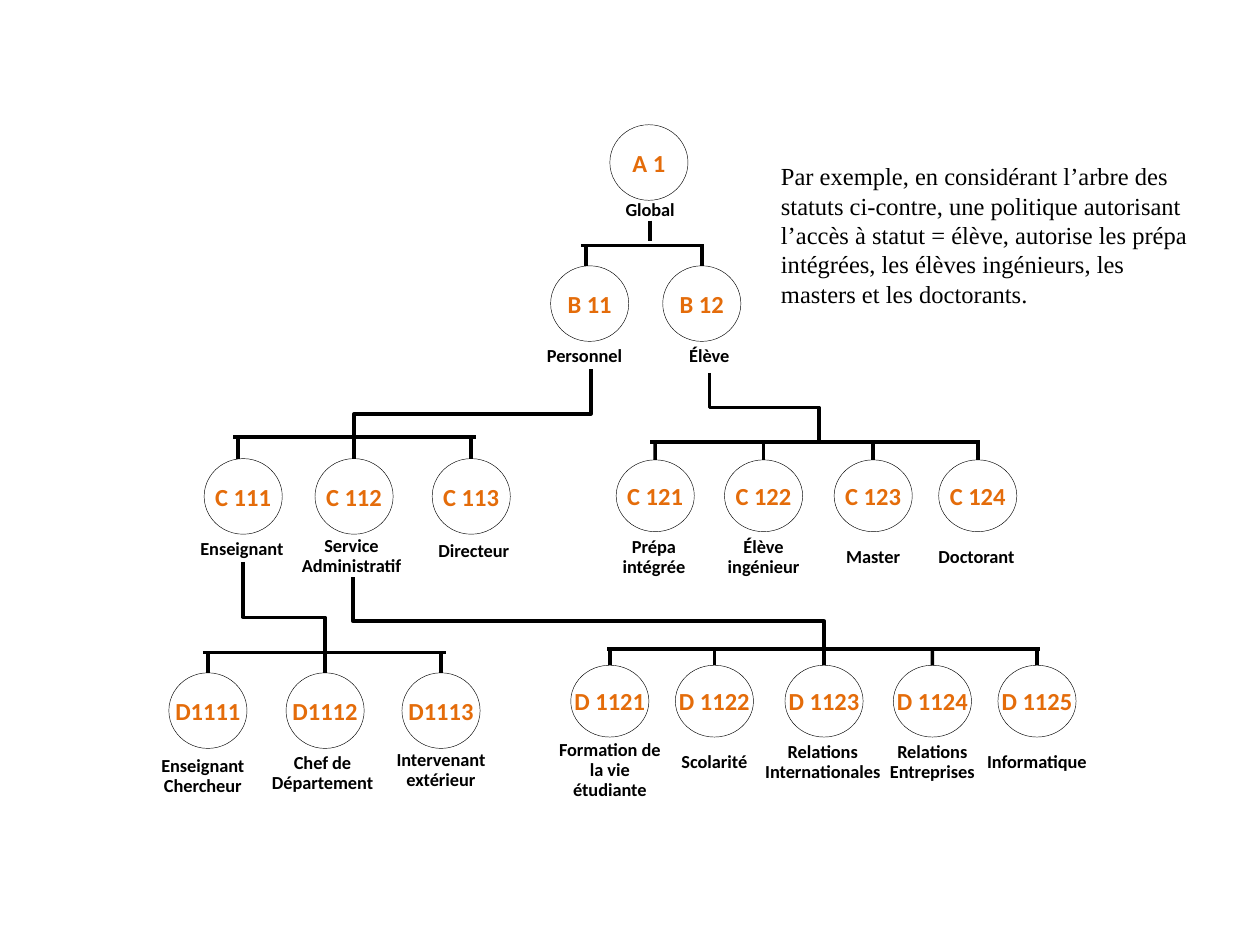
from lxml import etree
from pptx import Presentation
from pptx import util as u
from pptx.dml.color import RGBColor
from pptx.enum import shapes, text
from pptx.oxml.ns import qn

THEME = {
    "black": RGBColor(0x00, 0x00, 0x00),
    "white": RGBColor(0xFF, 0xFF, 0xFF),
    "orange": RGBColor(0xE4, 0x6C, 0x0A),
    "tree_font": "Calibri", "note_font": "Times New Roman",
    "code": 14, "label": 10.5, "note": 14,
    "outline": 0.25, "branch": 2,
}
CIRCLE_W = 0.62
NOTE = ("Par exemple, en considérant l’arbre des statuts ci-contre, une politique "
        "autorisant l’accès à statut = élève, autorise les prépa intégrées, "
        "les élèves ingénieurs, les masters et les doctorants.")
NOTE_BOX = (6.1, 1.23, 3.46, 1.28)
LEFT_LABELS = {"Personnel", "Enseignant", "Directeur"}

# Each level: bar (left, right, y) or None, circle top and height,
# nodes (code, circle left, label, label box)
LEVELS = [
    {"bar": None, "top": 0.99, "height": 0.6, "nodes": [
        ("A 1", 4.84, "Global", (4.69, 1.59, 0.94, 0.16))]},
    {"bar": (4.61, 5.59, 1.95), "top": 2.11, "height": 0.6, "nodes": [
        ("B 11", 4.37, "Personnel", (4.29, 2.73, 0.79, 0.2)),
        ("B 12", 5.26, "Élève", (5.16, 2.75, 0.94, 0.16))]},
    {"bar": (1.85, 3.78, 3.47), "top": 3.64, "height": 0.6, "nodes": [
        ("C 111", 1.62, "Enseignant", (1.54, 4.26, 0.79, 0.2)),
        ("C 112", 2.5, "Service Administratif", (2.32, 4.26, 0.94, 0.31)),
        ("C 113", 3.43, "Directeur", (3.43, 4.26, 0.71, 0.24))]},
    {"bar": (5.16, 7.78, 3.51), "top": 3.65, "height": 0.57, "nodes": [
        ("C 121", 4.89, "Prépa intégrée", (4.72, 4.24, 0.94, 0.37)),
        ("C 122", 5.75, "Élève\vingénieur", (5.55, 4.24, 1.02, 0.37)),
        ("C 123", 6.62, "Master", (6.46, 4.24, 0.94, 0.37)),
        ("C 124", 7.45, "Doctorant", (7.28, 4.24, 0.94, 0.37))]},
    {"bar": (1.61, 3.54, 5.18), "top": 5.34, "height": 0.6, "nodes": [
        ("D1111", 1.34, "Enseignant Chercheur", (1.14, 6.04, 0.94, 0.24)),
        ("D1112", 2.27, "Chef de Département", (2.09, 6, 0.94, 0.28)),
        ("D1113", 3.19, "Intervenant extérieur", (3.03, 5.96, 0.94, 0.31))]},
    {"bar": (4.82, 8.25, 5.15), "top": 5.28, "height": 0.57, "nodes": [
        ("D 1121", 4.53, "Formation de la vie étudiante", (4.37, 5.93, 0.94, 0.37)),
        ("D 1122", 5.36, "Scolarité", (5.2, 5.87, 0.94, 0.37)),
        ("D 1123", 6.23, "Relations Internationales", (6.02, 5.87, 1.02, 0.37)),
        ("D 1124", 7.09, "Relations Entreprises", (6.93, 5.87, 0.94, 0.37)),
        ("D 1125", 7.92, "Informatique", (7.76, 5.87, 0.94, 0.37))]},
]
# Branches that drop to a spot off the centre of their circle
DROP_X = {"B 11": 4.65, "C 111": 1.89}
# Parent code, start, end, child code (None: the branch ends on a bar)
BENDS = [
    ("B 11", (4.69, 2.93), (2.81, 3.64), "C 112"),
    ("B 12", (5.63, 2.96), (6.5, 3.51), None),
    ("C 111", (1.93, 4.46), (2.58, 5.34), "D1112"),
    ("C 112", (2.8, 4.58), (6.54, 5.28), "D 1123"),
]
STEM = ((5.16, 1.75), (5.16, 1.91))


def inches(values):
    return [u.Inches(v) for v in values]


def write(sp, words, size, font, color, bold=False, align=None, spacing=None,
          margin=None, wrap=True, anchor=text.MSO_ANCHOR.MIDDLE):
    tf = sp.text_frame
    frame = {"word_wrap": wrap, "vertical_anchor": anchor}
    if margin is not None:
        frame.update({f"margin_{side}": u.Inches(margin)
                      for side in ("left", "top", "right", "bottom")})
    p = tf.paragraphs[0]
    p.text = words
    formats = [(tf, frame), (p, {"alignment": align, "line_spacing": spacing})]
    for r in p.runs:
        r.font.color.rgb = color
        formats.append((r.font, {"size": u.Pt(size), "name": font, "bold": bold}))
    for target, values in formats:
        for name, value in values.items():
            setattr(target, name, value)


def add_line(s, start, end, kind=shapes.MSO_CONNECTOR.STRAIGHT):
    c = s.shapes.add_connector(kind, *inches(start + end))
    c.line.color.rgb = THEME["black"]
    c.line.width = u.Pt(THEME["branch"])
    etree.SubElement(c._element.spPr, qn("a:effectLst"))
    return c


def add_bend(s, start, end, label, circle):
    """Elbow that leaves downwards: its frame is turned a quarter."""
    c = add_line(s, start, end, shapes.MSO_CONNECTOR.ELBOW)
    c.begin_connect(label, 2)
    if circle is not None:
        c.end_connect(circle, 0)
    (x1, y1), (x2, y2) = start, end
    w, h = y2 - y1, abs(x2 - x1)
    frame = ((x1 + x2 - w) / 2, (y1 + y2 - h) / 2, w, h)
    for name, value in zip(("left", "top", "width", "height"), inches(frame)):
        setattr(c, name, value)
    xfrm = c._element.spPr.find(qn("a:xfrm"))
    xfrm.attrib.clear()
    turn = {"rot": "16200000", "flipH": "1"} if x2 > x1 else {"rot": "5400000"}
    for name, value in turn.items():
        xfrm.set(name, value)


def add_circle(s, code, x, y, height):
    sp = s.shapes.add_shape(shapes.MSO_SHAPE.OVAL, *inches((x, y, CIRCLE_W, height)))
    sp.shadow.inherit = False
    sp.fill.solid()
    sp.fill.fore_color.rgb = THEME["white"]
    sp.line.color.rgb = THEME["black"]
    sp.line.width = u.Pt(THEME["outline"])
    write(sp, code, THEME["code"], THEME["tree_font"], THEME["orange"], bold=True,
          align=text.PP_ALIGN.CENTER, wrap=False)
    return sp


def add_label(s, words, box):
    sp = s.shapes.add_textbox(*inches(box))
    align = text.PP_ALIGN.LEFT if words in LEFT_LABELS else text.PP_ALIGN.CENTER
    write(sp, words, THEME["label"], THEME["tree_font"], THEME["black"], bold=True,
          align=align, spacing=0.9, margin=0.05)
    return sp


def add_level(s, level, circles, labels):
    top, bar = level["top"], level["bar"]
    if bar:
        left, right, y = bar
        add_line(s, (left, y), (right, y))
    for code, x, words, box in level["nodes"]:
        circles[code] = add_circle(s, code, x, top, level["height"])
        labels[code] = add_label(s, words, box)
        if bar:
            drop = DROP_X.get(code, x + CIRCLE_W / 2)
            c = add_line(s, (drop, y), (drop, top))
            if code not in DROP_X:
                c.end_connect(circles[code], 0)


def main():
    prs = Presentation()
    prs.slide_width, prs.slide_height = inches((10, 7.5))
    s = prs.slides.add_slide(prs.slide_layouts[6])
    circles, labels = {}, {}
    for level in LEVELS:
        add_level(s, level, circles, labels)
    add_line(s, *STEM).begin_connect(labels["A 1"], 2)
    for parent, start, end, child in BENDS:
        add_bend(s, start, end, labels[parent], circles.get(child))
    note = s.shapes.add_textbox(*inches(NOTE_BOX))
    write(note, NOTE, THEME["note"], THEME["note_font"], THEME["black"],
          anchor=text.MSO_ANCHOR.TOP)
    prs.save("out.pptx")


if __name__ == "__main__":
    main()
